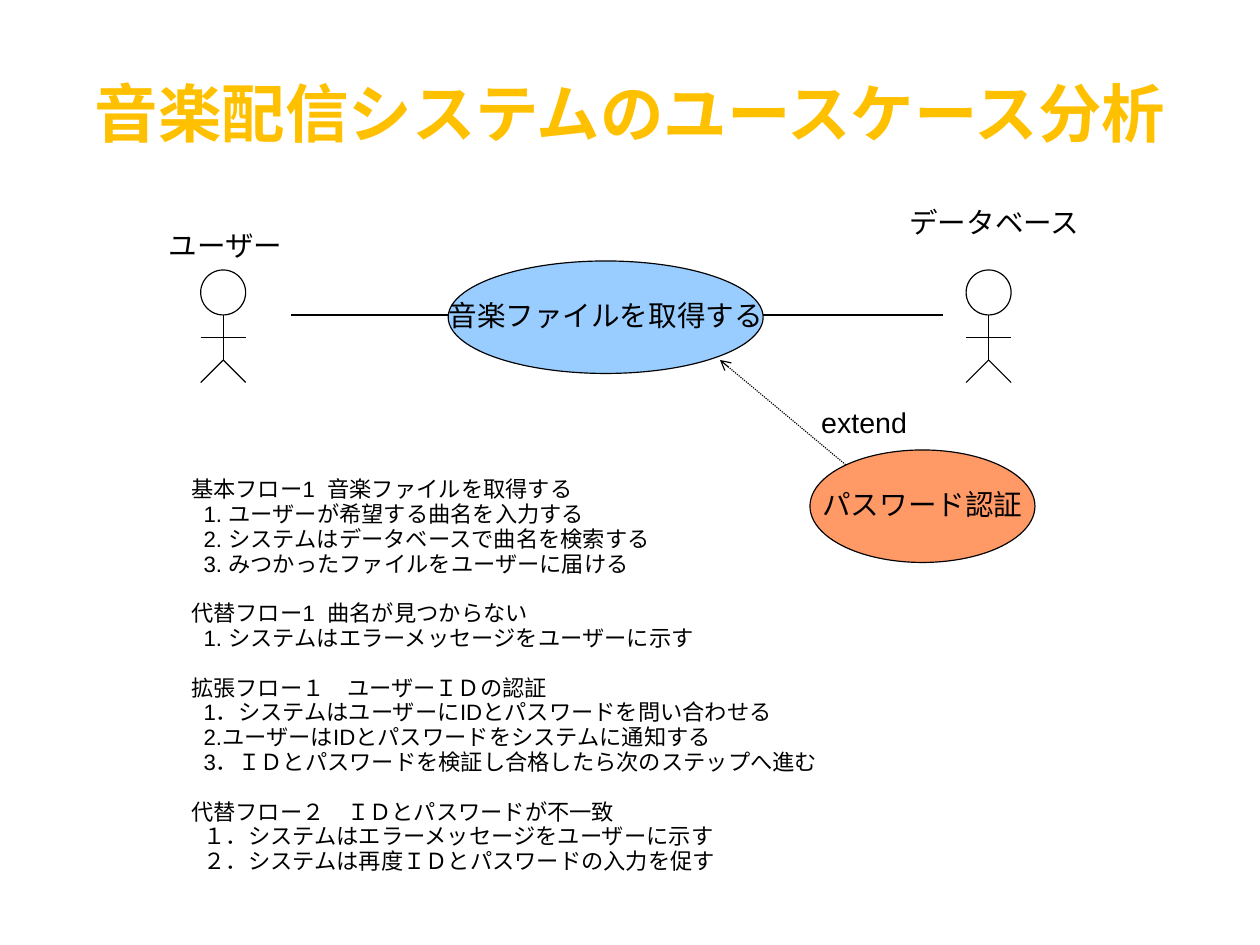
from lxml import etree
from pptx import Presentation, util as u
from pptx.dml.color import RGBColor
from pptx.enum import dml, shapes, text
from pptx.oxml.ns import qn

COLORS = {"title": "FFC000", "ink": "000000", "main": "99CCFF", "extension": "FF9966"}
COLUMNS, ROWS = 56, 42
CELL = u.Cm(0.5)

deck = Presentation()
deck.slide_width, deck.slide_height = COLUMNS * CELL, ROWS * CELL
slide = deck.slides.add_slide(deck.slide_layouts[6])


def cells(*counts):
    return [round(count * CELL) for count in counts]


def write(holder, lines, size=18, color="ink", bold=False, align=text.PP_ALIGN.LEFT,
          anchor=text.MSO_ANCHOR.TOP, wrap=True):
    """Fill a shape with one paragraph per line and return the paragraphs."""
    frame = holder.text_frame
    frame.text = "\n".join(lines)
    frame.word_wrap, frame.vertical_anchor = wrap, anchor
    for paragraph in frame.paragraphs:
        paragraph.alignment, paragraph.line_spacing = align, 0.93
        font_format = {"name": "Arial", "size": u.Pt(size), "bold": bold}
        for key, value in font_format.items():
            setattr(paragraph.runs[0].font, key, value)
        paragraph.runs[0].font.color.rgb = RGBColor.from_string(COLORS[color])
    return frame.paragraphs


centred = {"align": text.PP_ALIGN.CENTER, "anchor": text.MSO_ANCHOR.MIDDLE}

# Title
title = slide.shapes.add_textbox(*cells(2.8, 1.68, 50.4, 7))
write(title, ["音楽配信システムのユースケース分析"], 40, "title", True, **centred)
for side in ("left", "right", "top", "bottom"):
    setattr(title.text_frame, f"margin_{side}", 0)

# Actors: a head two cells wide, then trunk, arms and legs
user_x, database_x = 9.92, 43.94
head_top = 12
limbs = [(0, 2, 0, 4), (-1, 3, 1, 3), (0, 4, -1, 5), (0, 4, 1, 5)]
segments = []
heads = []
for actor_x in (user_x, database_x):
    heads.append(slide.shapes.add_shape(
        shapes.MSO_SHAPE.OVAL, *cells(actor_x - 1, head_top, 2, 2)))
    heads[-1].fill.background()
    segments += [(actor_x + x1, head_top + y1, actor_x + x2, head_top + y2)
                 for x1, y1, x2, y2 in limbs]

# Associations and the extend arrow
segments += [(12.95, 14, 19.92, 14), (33.92, 14, 41.9, 14), (32, 16, 38, 21)]
for segment in segments:
    link = slide.shapes.add_connector(shapes.MSO_CONNECTOR.STRAIGHT, *cells(*segment))
    link.line.width = u.Pt(0.75)
    link.line.color.rgb = RGBColor.from_string(COLORS["ink"])
    etree.SubElement(link._element.spPr, qn("a:effectLst"))
extend_arrow = link
extend_arrow.line.dash_style = dml.MSO_LINE.ROUND_DOT
etree.SubElement(extend_arrow.line._get_or_add_ln(), qn("a:headEnd"), type="arrow")

# Use cases
use_cases = []
for label, color, place in [
    ("音楽ファイルを取得する", "main", (19.92, 11.6, 14, 5)),
    ("パスワード認証", "extension", (36, 20, 10, 5)),
]:
    use_case = slide.shapes.add_shape(shapes.MSO_SHAPE.OVAL, *cells(*place))
    use_case.fill.solid()
    use_case.fill.fore_color.rgb = RGBColor.from_string(COLORS[color])
    write(use_case, [label], wrap=False, **centred)
    use_cases.append(use_case)

for outlined in heads + use_cases:
    outlined.shadow.inherit = False
    outlined.line.width = u.Pt(0.75)
    outlined.line.color.rgb = RGBColor.from_string(COLORS["ink"])

# Labels
for label, place in [
    ("ユーザー", (7, 10, 7, 1.8)),
    ("データベース", (39.92, 9, 9.5, 1.8)),
    ("extend", (36, 17.88, 6, 1.92)),
]:
    write(slide.shapes.add_textbox(*cells(*place)), [label])

# Flows: a heading followed by indented steps
flows = {
    "基本フロー1  音楽ファイルを取得する": [
        "1. ユーザーが希望する曲名を入力する",
        "2. システムはデータベースで曲名を検索する",
        "3. みつかったファイルをユーザーに届ける",
    ],
    "代替フロー1  曲名が見つからない": [
        "1. システムはエラーメッセージをユーザーに示す",
    ],
    "拡張フロー１　ユーザーＩＤの認証": [
        "1．システムはユーザーにIDとパスワードを問い合わせる",
        "2.ユーザーはIDとパスワードをシステムに通知する",
        "3．ＩＤとパスワードを検証し合格したら次のステップへ進む",
    ],
    "代替フロー２　ＩＤとパスワードが不一致": [
        "１．システムはエラーメッセージをユーザーに示す",
        "２．システムは再度ＩＤとパスワードの入力を促す",
    ],
}
flow_lines = [line for heading, steps in flows.items() for line in (heading, *steps)]
flow_box = slide.shapes.add_textbox(*cells(8, 21, 37, 18.44))
for position, paragraph in enumerate(write(flow_box, flow_lines, 14)):
    if paragraph.text not in flows:
        paragraph._p.get_or_add_pPr().set("marL", str(u.Pt(7.8)))
    elif position:
        paragraph.space_before = u.Pt(15.6)

deck.save("out.pptx")
